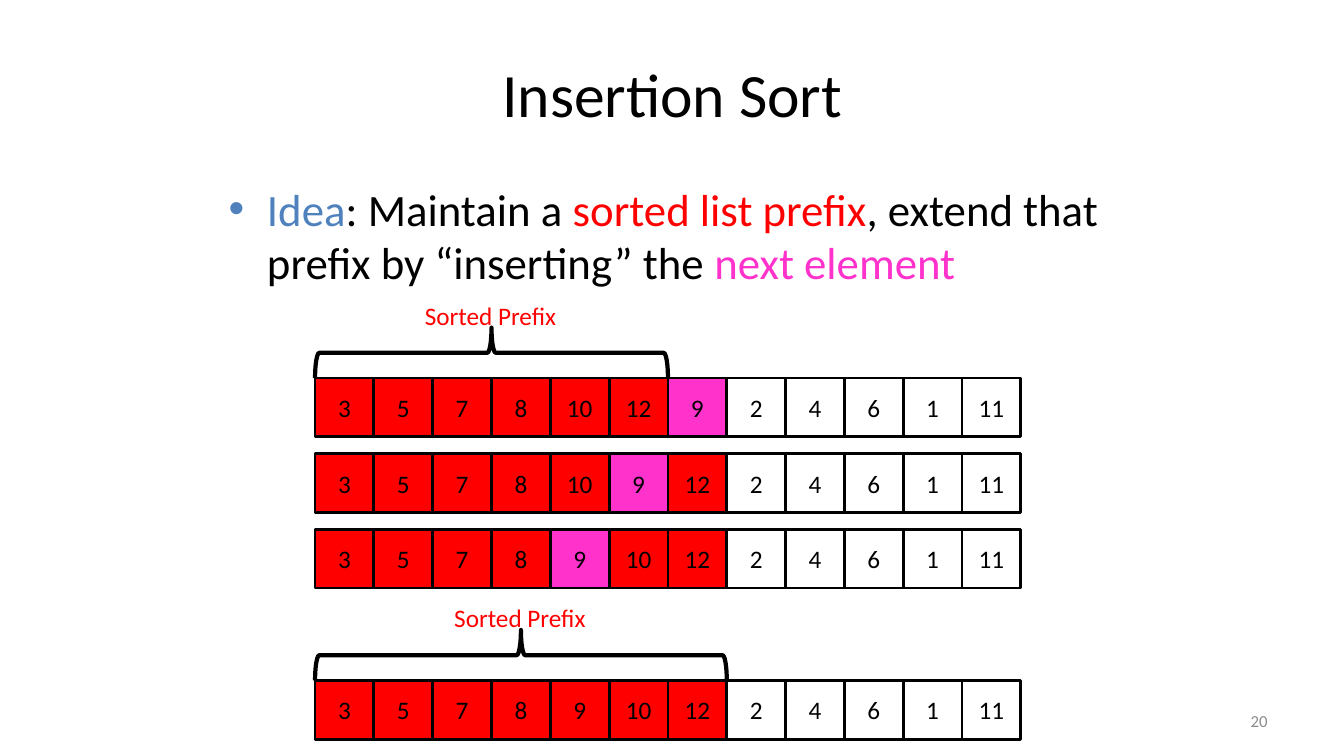
import pptx
import pptx.util
import pptx.dml.color
import pptx.enum.shapes
import pptx.enum.text
import pptx.oxml.ns
import lxml.etree

Inches = pptx.util.Inches
Pt = pptx.util.Pt
ALIGN = pptx.enum.text.PP_ALIGN
ANCHOR = pptx.enum.text.MSO_ANCHOR
SHAPE = pptx.enum.shapes.MSO_SHAPE

COLORS = {
    "ink": "000000",
    "idea": "4F81BD",
    "sorted": "FF0000",
    "next": "FF33CC",
    "number": "8C8C8C",
}
ROW_LEFT = 3.125
CELL = 7 / 12
BRACE_DEPTH = 0.5
LABEL_WIDTH = 1.52
UNSORTED = [2, 4, 6, 1, 11]
STEPS = [
    {"top": 3.75, "values": [3, 5, 7, 8, 10, 12, 9], "next": 6, "prefix": 6},
    {"top": 4.5, "values": [3, 5, 7, 8, 10, 9, 12], "next": 5},
    {"top": 5.25, "values": [3, 5, 7, 8, 9, 10, 12], "next": 4},
    {"top": 6.75, "values": [3, 5, 7, 8, 9, 10, 12], "prefix": 7},
]


def rgb(role):
    """Return the colour that belongs to a role."""
    return pptx.dml.color.RGBColor.from_string(COLORS[role])


def set_all(target, formats):
    """Set every attribute in formats on target."""
    for key, value in formats.items():
        setattr(target, key, value)


def write(frame, runs, size, frame_format, align=ALIGN.LEFT):
    """Write coloured runs as one paragraph and return the paragraph."""
    set_all(frame, frame_format)
    paragraph = frame.paragraphs[0]
    paragraph.alignment = align
    for words, role in runs:
        run = paragraph.add_run()
        run.text = words
        set_all(run.font, {"name": "Calibri", "size": Pt(size)})
        run.font.color.rgb = rgb(role)
    return paragraph


def add_text(slide, box, runs, size, align=ALIGN.LEFT, anchor=ANCHOR.TOP, wrap=True):
    """Add a text box and return its paragraph."""
    frame = slide.shapes.add_textbox(*map(Inches, box)).text_frame
    frame_format = {"word_wrap": wrap, "vertical_anchor": anchor}
    return write(frame, runs, size, frame_format, align)


def add_bullet(paragraph):
    """Give a paragraph a hanging bullet."""
    properties = paragraph._p.get_or_add_pPr()
    properties.set("marL", str(Inches(0.38)))
    properties.set("indent", str(-Inches(0.38)))
    paragraph.space_before = Pt(4)
    for tag, key, value in (("a:buFont", "typeface", "Arial"), ("a:buChar", "char", "•")):
        mark = lxml.etree.SubElement(properties, pptx.oxml.ns.qn(tag))
        mark.set(key, value)


def add_outline(shapes, kind, box, width, fill=None):
    """Add an outlined preset shape with an optional fill."""
    shape = shapes.add_shape(kind, *map(Inches, box))
    shape.shadow.inherit = False
    shape.line.color.rgb = rgb("ink")
    shape.line.width = Pt(width)
    if fill:
        shape.fill.solid()
        shape.fill.fore_color.rgb = rgb(fill)
    else:
        shape.fill.background()
    return shape


def add_list_row(slide, step):
    """Add one state of the list as a group of cells."""
    cells = slide.shapes.add_group_shape().shapes
    margins = dict.fromkeys(("margin_left", "margin_right"), 0)
    for index, value in enumerate(step["values"] + UNSORTED):
        fill = "sorted" if index < len(step["values"]) else None
        if index == step.get("next"):
            fill = "next"
        box = (ROW_LEFT + index * CELL, step["top"], CELL, CELL)
        cell = add_outline(cells, SHAPE.RECTANGLE, box, 2, fill)
        frame_format = {"vertical_anchor": ANCHOR.MIDDLE, **margins}
        write(cell.text_frame, [(str(value), "ink")], 18, frame_format, ALIGN.CENTER)


def add_prefix_brace(slide, top, count):
    """Mark the first cells of a row with a brace and its label."""
    span = count * CELL
    center = ROW_LEFT + span / 2
    middle = top - BRACE_DEPTH / 2
    box = (center - BRACE_DEPTH / 2, middle - span / 2, BRACE_DEPTH, span)
    brace = add_outline(slide.shapes, SHAPE.RIGHT_BRACE, box, 3)
    brace.rotation = 270
    label_box = (center - LABEL_WIDTH / 2, top - 0.82, LABEL_WIDTH, 0.4)
    add_text(slide, label_box, [("Sorted Prefix", "sorted")], 18, wrap=False)


def main():
    """Build the insertion sort slide."""
    deck = pptx.Presentation()
    set_all(deck, {"slide_width": Inches(13.33), "slide_height": Inches(7.5)})
    slide = deck.slides.add_slide(deck.slide_layouts[6])
    add_text(slide, (0.67, 0.3, 12, 1.25), [("Insertion Sort", "ink")], 44,
             ALIGN.CENTER, ANCHOR.MIDDLE)
    idea = [
        ("Idea", "idea"),
        (": Maintain a ", "ink"),
        ("sorted list prefix", "sorted"),
        (", extend that prefix by “inserting” the ", "ink"),
        ("next element", "next"),
    ]
    add_bullet(add_text(slide, (2.17, 1.75, 9, 1.17), idea, 32))
    add_text(slide, (9.56, 6.95, 3.11, 0.4), [("20", "number")], 12,
             ALIGN.RIGHT, ANCHOR.MIDDLE)
    for step in STEPS:
        add_list_row(slide, step)
        if "prefix" in step:
            add_prefix_brace(slide, step["top"], step["prefix"])
    deck.save("out.pptx")


if __name__ == "__main__":
    main()
